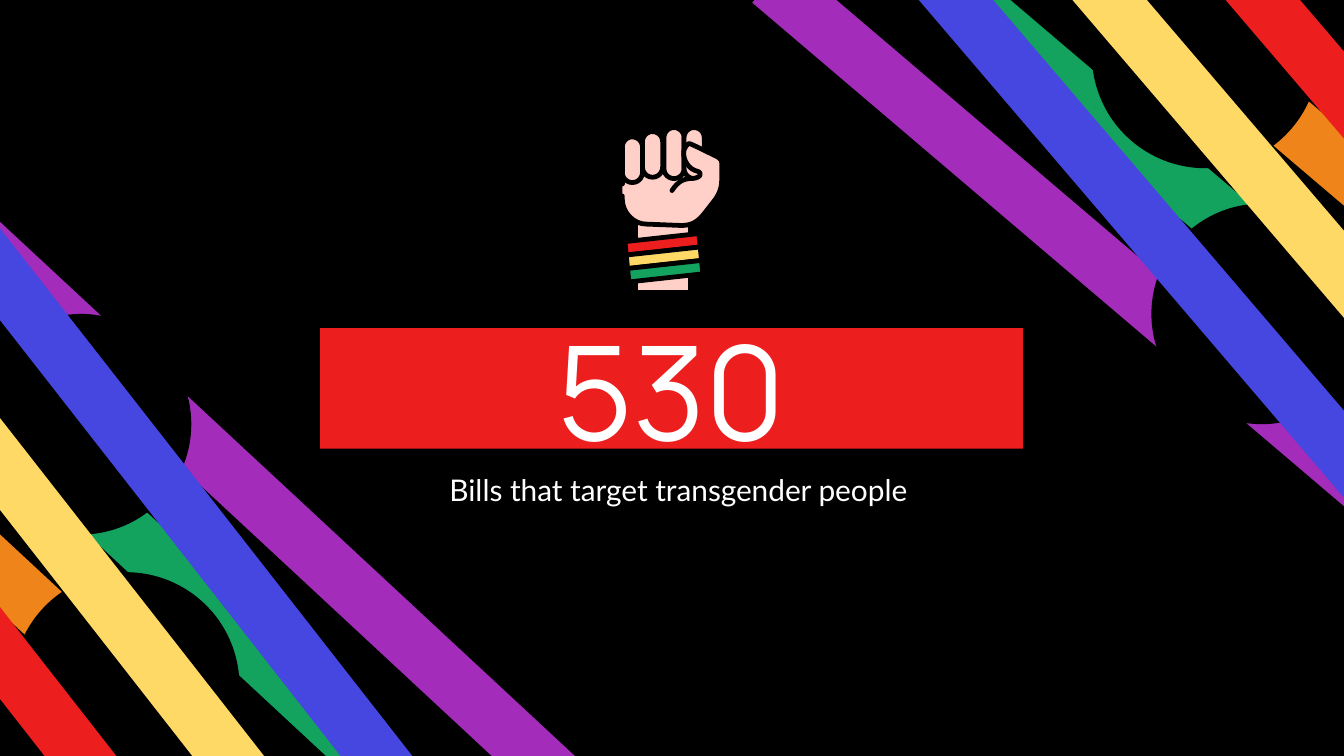
from collections import namedtuple
from math import cos, radians, sin

from pptx import Presentation
from pptx import util as u
from pptx.dml.color import RGBColor
from pptx.enum import shapes, text
from pptx.oxml.ns import qn

BLACK = RGBColor(0x00, 0x00, 0x00)
WHITE = RGBColor(0xFF, 0xFF, 0xFF)
RED = RGBColor(0xEC, 0x1E, 0x1E)
ORANGE = RGBColor(0xEE, 0x84, 0x1A)
YELLOW = RGBColor(0xFF, 0xD9, 0x66)
GREEN = RGBColor(0x13, 0xA3, 0x5F)
BLUE = RGBColor(0x46, 0x46, 0xE0)
PURPLE = RGBColor(0xA3, 0x2C, 0xBB)
SKIN = RGBColor(0xFF, 0xD0, 0xC7)

Box = namedtuple("Box", "left top width height")
Band = namedtuple("Band", "kind color dx dy width length angle")

RECT = shapes.MSO_SHAPE.RECTANGLE
OVAL = shapes.MSO_SHAPE.OVAL
STRIPE_WIDTH = 1.07
RAINBOW = [
    Band(RECT, GREEN, -0.84, 0.8, STRIPE_WIDTH, 14.5, 132.9),
    Band(RECT, ORANGE, -2.46, 2.29, STRIPE_WIDTH, 10.67, 132.9),
    Band(OVAL, BLACK, -0.67, 3.87, 4.29, 4.29, 137.4),
    Band(RECT, PURPLE, 1.83, 0.37, STRIPE_WIDTH, 15.42, 132.9),
    Band(OVAL, BLACK, -1.52, -1.07, 4.17, 4.17, 137.4),
    Band(RECT, BLUE, 0, 0, STRIPE_WIDTH, 15.49, 142),
    Band(RECT, YELLOW, -1.63, 1.5, STRIPE_WIDTH, 12.14, 142),
    Band(RECT, RED, -3.25, 3, STRIPE_WIDTH, 10.26, 142),
]

FIST_GRID = 78
PALM = "M 2 27 L 2 55 C 2 65 10 74 20 74 L 48 74 C 56 74 63 67 63 58 L 63 27"
THUMB_EDGE = (
    "M 39 49 C 43 43 47 40 54 40 C 56 40 60 39 60 37 C 60 36 60 36 59 35 "
    "L 56 34 C 49 31 47 23 48 19 C 49 16 51 14 52 14 C 53 14 69 22 73 24 "
    "C 75 25 76 27 76 28 L 76 42 C 76 47 74 52 71 56 L 64 65 C 58 73 53 75 46 75"
)
THUMB = THUMB_EDGE + " L 35 74 C 35 74 33 66 34 59"
HAND_EDGE = THUMB_EDGE + " L 20 74 C 10 74 2 65 2 55 L 2 53"
KNUCKLE_EDGE = "M 2 17 L 2 44"
FINGERS = [(17, 5, 34), (33, 2, 38), (48, 2, 38), (2, 9, 34)]
FINGER_WIDTH = 15
BAND_STEP = (1, 10)


def paint(shape, fill=None, outlined=False):
    """Set the fill and, if asked, a rounded black outline."""
    shape.shadow.inherit = False
    if fill is None:
        shape.fill.background()
    else:
        shape.fill.solid()
        shape.fill.fore_color.rgb = fill
    if outlined:
        shape.line.color.rgb = BLACK
        shape.line.width = u.Cm(0.09)
        shape._element.spPr.find(qn("a:ln")).set("cap", "rnd")
    else:
        shape.line.fill.background()


def trace(outline, steps=8):
    """Turn M, L and C commands into points, sampling the curves."""
    tokens = iter(outline.split())
    points = []
    for command in tokens:
        count = 3 if command == "C" else 1
        ends = [(float(next(tokens)), float(next(tokens))) for _ in range(count)]
        if command != "C":
            points += ends
            continue
        controls = [points[-1], *ends]
        for step in range(1, steps + 1):
            t = step / steps
            weights = ((1 - t) ** 3, 3 * t * (1 - t) ** 2, 3 * t * t * (1 - t), t ** 3)
            points.append(tuple(
                sum(w * p[axis] for w, p in zip(weights, controls)) for axis in (0, 1)
            ))
    return points


def add_rainbow(slide, center_x, center_y, turn):
    """Fan the stripes and their cut-outs around a centre, turned as a whole."""
    rainbow = slide.shapes.add_group_shape()
    c, s = cos(radians(turn)), sin(radians(turn))
    for band in RAINBOW:
        x = center_x + band.dx * c - band.dy * s
        y = center_y + band.dx * s + band.dy * c
        stripe = rainbow.shapes.add_shape(
            band.kind, u.Cm(x - band.width / 2), u.Cm(y - band.length / 2),
            u.Cm(band.width), u.Cm(band.length))
        stripe.rotation = band.angle + turn
        paint(stripe, band.color)


def add_fist(slide, box):
    """Draw the raised fist with its wristband inside the box."""
    fist = slide.shapes.add_group_shape()
    unit = box.width / FIST_GRID

    def add_outline(points, fill=None, outlined=False, close=True):
        """Add one freeform from grid points."""
        start, *rest = [(x * unit, y * unit) for x, y in points]
        builder = fist.shapes.build_freeform(*start, scale=1.0)
        builder.add_line_segments(rest, close=close)
        paint(builder.convert_to_shape(box.left, box.top), fill, outlined)

    def add_block(kind, x, y, width, height):
        """Add one outlined skin-coloured preset shape on the grid."""
        block = fist.shapes.add_shape(
            kind, *(int(v) for v in (box.left + x * unit, box.top + y * unit,
                                     width * unit, height * unit)))
        paint(block, SKIN, outlined=True)
        return block

    add_block(RECT, 12, 47, 41, 78)
    add_outline(trace(PALM), SKIN)
    for x, y, height in FINGERS:
        finger = add_block(shapes.MSO_SHAPE.ROUNDED_RECTANGLE,
                           x, y, FINGER_WIDTH, height)
        finger.adjustments[0] = 0.5
    add_outline(trace(THUMB), SKIN)
    for edge in (HAND_EDGE, KNUCKLE_EDGE):
        add_outline(trace(edge), outlined=True, close=False)
    for row, color in enumerate((RED, YELLOW, GREEN)):
        dx, dy = (row * step for step in BAND_STEP)
        corners = ((59, 81), (4, 87), (5, 97), (60, 91))
        add_outline([(x + dx, y + dy) for x, y in corners], color, outlined=True)


def write(holder, box, words, font, size, anchor):
    """Place a text holder in the box and write one centred run."""
    holder.left, holder.top, holder.width, holder.height = box
    frame = holder.text_frame
    frame.word_wrap = True
    frame.auto_size = text.MSO_AUTO_SIZE.NONE
    frame.vertical_anchor = anchor
    frame.margin_left = frame.margin_right = u.Cm(0.25)
    frame.margin_top = frame.margin_bottom = u.Cm(0.25)
    paragraph = frame.paragraphs[0]
    paragraph.alignment = text.PP_ALIGN.CENTER
    run = paragraph.add_run()
    run.text = words
    run.font.name = font
    run.font.size = u.Pt(size)
    run.font.color.rgb = WHITE


def add_big_number(slide, box, number):
    """Show the number as the title on a red bar."""
    title = slide.shapes.title
    write(title, box, number, "Manrope", 70, text.MSO_ANCHOR.MIDDLE)
    title.fill.solid()
    title.fill.fore_color.rgb = RED


def add_caption(slide, box, caption):
    """Write the caption below the number."""
    write(slide.shapes.add_textbox(*box), box, caption, "Lato", 16,
          text.MSO_ANCHOR.TOP)


def main():
    """Build and save the slide."""
    deck = Presentation()
    deck.slide_width, deck.slide_height = u.Cm(25.4), u.Cm(14.29)
    slide = deck.slides.add_slide(deck.slide_layouts[5])
    slide.background.fill.solid()
    slide.background.fill.fore_color.rgb = BLACK
    add_rainbow(slide, 3.05, 9.09, 0)
    add_rainbow(slide, 22.28, 4.93, 177.5)
    add_big_number(slide, Box(u.Cm(6.05), u.Cm(6.2), u.Cm(13.28), u.Cm(2.28)), "530")
    add_caption(slide, Box(u.Cm(8), u.Cm(8.66), u.Cm(9.65), u.Cm(1.88)),
                "Bills that target transgender people")
    add_fist(slide, Box(u.Cm(11.71), u.Cm(2.36), u.Cm(1.98), u.Cm(3.23)))
    deck.save("out.pptx")


if __name__ == "__main__":
    main()
